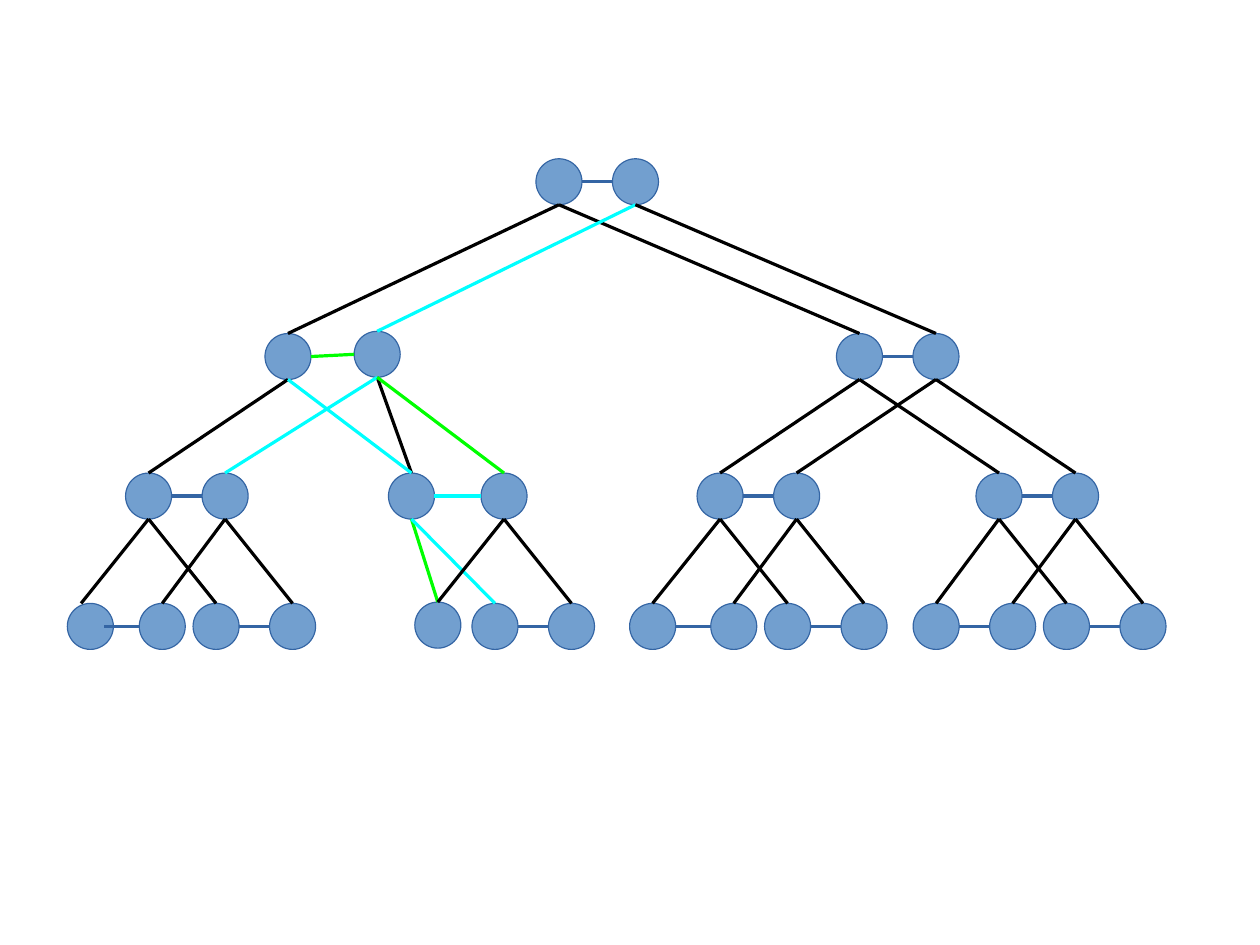
from dataclasses import dataclass

from lxml.etree import SubElement
from pptx import Presentation
from pptx.dml.color import RGBColor
from pptx.enum.shapes import MSO_CONNECTOR, MSO_SHAPE
from pptx.oxml.ns import qn
from pptx.slide import Slide
from pptx.util import Pt

NODE_FILL = RGBColor(0x72, 0x9F, 0xCF)
NODE_LINE = RGBColor(0x34, 0x65, 0xA4)
BLACK = RGBColor(0, 0, 0)
GREEN = RGBColor(0, 0xFF, 0)
CYAN = RGBColor(0, 0xFF, 0xFF)

RADIUS = 14.5
ROOT_Y, BRANCH_Y, TWIG_Y, LEAF_Y = 114.5, 224.6, 312.5, 394.6

Point = tuple[float, float]


@dataclass(frozen=True)
class Pair:
    """Two linked nodes given by their centres; a gap of 0 is a single node."""
    x: float
    y: float
    gap: float = 48.2
    link: RGBColor = NODE_LINE
    right_lift: float = 0
    left_shift: float = 0

    @property
    def left(self) -> Point:
        return self.x, self.y

    @property
    def right(self) -> Point:
        return self.x + self.gap, self.y - self.right_lift

    @property
    def left_anchor(self) -> Point:
        return self.x + self.left_shift, self.y


@dataclass(frozen=True)
class Family:
    """Edge colours run: left to first, left to second, right to first, right to second."""
    parent: Pair
    first: Pair
    second: Pair
    colors: tuple[RGBColor, ...] = (BLACK,) * 4


ROOT = Pair(352.1, ROOT_Y)
BRANCHES = [
    Pair(181.4, BRANCH_Y, gap=56.2, link=GREEN, right_lift=1.4),
    Pair(541.4, BRANCH_Y),
]
TWIGS = [
    Pair(93.6, TWIG_Y),
    Pair(259.2, TWIG_Y, gap=58.3, link=CYAN),
    Pair(453.6, TWIG_Y),
    Pair(629.3, TWIG_Y),
]
LEAVES = [
    Pair(56.9, LEAF_Y, gap=45.3, left_shift=-5.8),
    Pair(136.1, LEAF_Y),
    Pair(275.8, LEAF_Y - 0.8, gap=0),
    Pair(311.8, LEAF_Y),
    Pair(411.1, LEAF_Y, gap=51.1),
    Pair(496.1, LEAF_Y),
    Pair(589.7, LEAF_Y),
    Pair(671.8, LEAF_Y),
]
FAMILIES = [
    Family(ROOT, *BRANCHES, colors=(BLACK, BLACK, CYAN, BLACK)),
    Family(BRANCHES[0], *TWIGS[:2], colors=(BLACK, CYAN, CYAN, GREEN)),
    Family(BRANCHES[1], *TWIGS[2:]),
    Family(TWIGS[0], *LEAVES[:2]),
    Family(TWIGS[1], *LEAVES[2:4], colors=(GREEN, CYAN, BLACK, BLACK)),
    Family(TWIGS[2], *LEAVES[4:6]),
    Family(TWIGS[3], *LEAVES[6:]),
]


def add_node(page: Slide, center: Point) -> None:
    x, y = center
    node = page.shapes.add_shape(
        MSO_SHAPE.OVAL, Pt(x - RADIUS), Pt(y - RADIUS), Pt(2 * RADIUS), Pt(2 * RADIUS)
    )
    node.shadow.inherit = False
    node.fill.solid()
    node.fill.fore_color.rgb = NODE_FILL
    node.line.color.rgb = NODE_LINE
    node.line.width = Pt(0)


def add_line(page: Slide, start: Point, end: Point, color: RGBColor,
             kind: MSO_CONNECTOR = MSO_CONNECTOR.STRAIGHT) -> None:
    line = page.shapes.add_connector(kind, *map(Pt, start + end))
    line.line.color.rgb = color
    line.line.width = Pt(0)
    SubElement(line._element.spPr, qn("a:effectLst"))


def add_edge(page: Slide, parent: Point, child: Point, color: RGBColor) -> None:
    """Join the bottom of the parent node to the top of the child node."""
    add_line(page, (parent[0], parent[1] + RADIUS), (child[0], child[1] - RADIUS), color)


def add_pair(page: Slide, pair: Pair) -> None:
    add_node(page, pair.left)
    if pair.gap:
        add_node(page, pair.right)
        kind = MSO_CONNECTOR.ELBOW if pair.link == NODE_LINE else MSO_CONNECTOR.STRAIGHT
        start_x, start_y = pair.left_anchor
        end_x, end_y = pair.right
        add_line(page, (start_x + RADIUS, start_y), (end_x - RADIUS, end_y), pair.link, kind)


def add_family(page: Slide, family: Family) -> None:
    parent, first, second = family.parent, family.first, family.second
    ends = [
        (parent.left, first.left_anchor),
        (parent.left, second.left_anchor),
        (parent.right, first.right),
        (parent.right, second.right),
    ]
    for (start, end), color in zip(ends, family.colors):
        add_edge(page, start, end, color)


def main() -> None:
    deck = Presentation()
    deck.slide_width, deck.slide_height = Pt(793.7), Pt(595.3)
    page = deck.slides.add_slide(deck.slide_layouts[6])
    for pair in [ROOT, *BRANCHES, *TWIGS, *LEAVES]:
        add_pair(page, pair)
    add_edge(page, BRANCHES[0].right, TWIGS[1].left, BLACK)
    for family in FAMILIES:
        add_family(page, family)
    deck.save("out.pptx")


if __name__ == "__main__":
    main()
